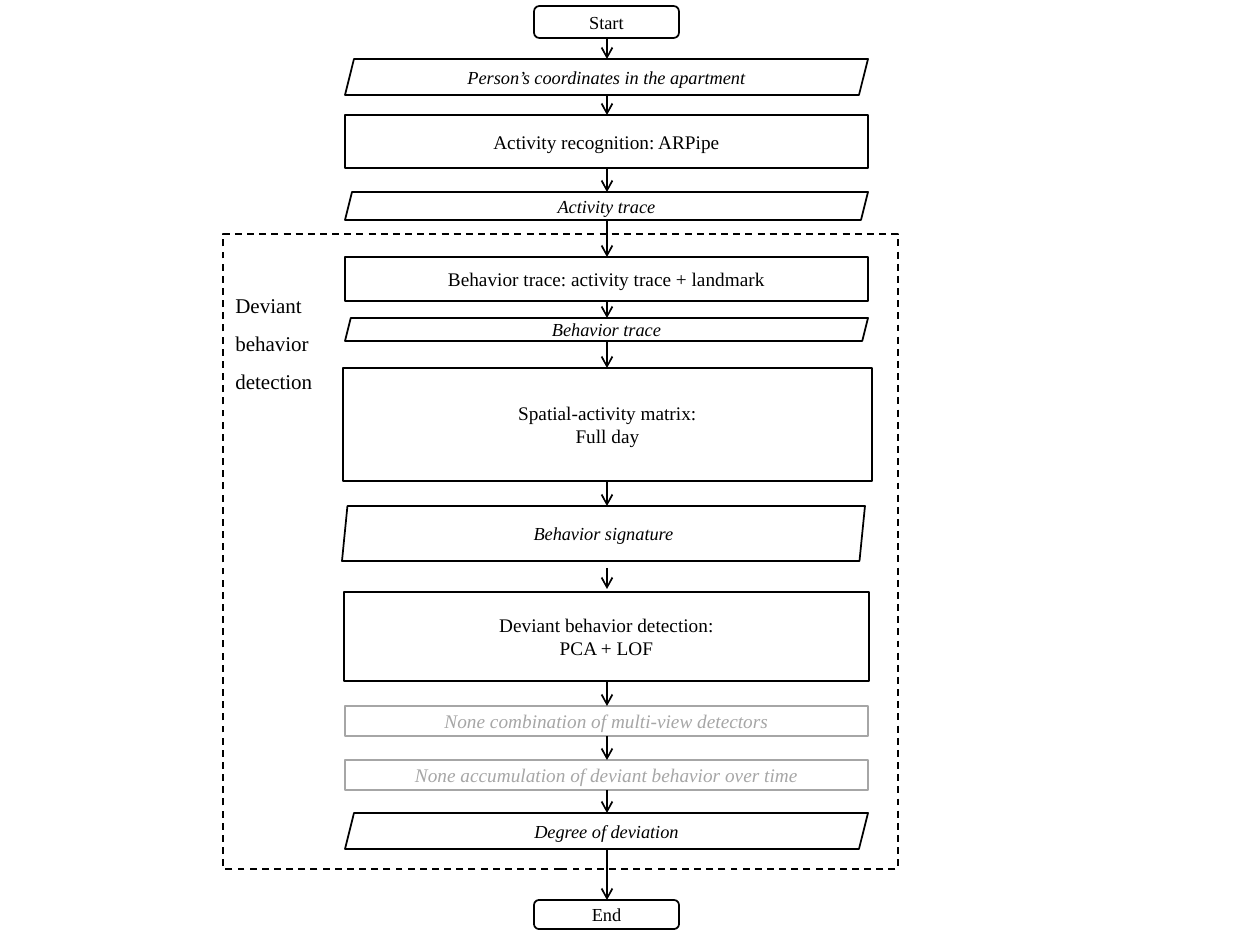
from dataclasses import dataclass
from itertools import pairwise

from lxml.etree import SubElement
from pptx import Presentation
from pptx.dml.color import RGBColor as RGB
from pptx.enum.dml import MSO_LINE_DASH_STYLE as Dash
from pptx.enum.shapes import MSO_CONNECTOR as Link, MSO_SHAPE as Form
from pptx.enum.text import MSO_ANCHOR as Anchor, PP_ALIGN as Align
from pptx.oxml.ns import qn
from pptx.util import Emu, Pt

SCALE = 914400 // 126


@dataclass(frozen=True)
class Theme:
    """Colours, font and type sizes."""
    ink: RGB = RGB(0, 0, 0)
    mute: RGB = RGB(0xA6, 0xA6, 0xA6)
    font: str = "Times New Roman"
    data: float = 10.5
    step: float = 11
    label: float = 12
    line: float = 1


def px(num):
    """Turn pixels into EMU."""
    return Emu(num * SCALE)


class Chart:
    """Draws flowchart parts on one slide."""

    def __init__(self, slide, theme):
        """Keep the slide and the style."""
        self.slide, self.theme = slide, theme

    def stroke(self, line, color):
        """Set the outline colour and width."""
        line.color.rgb = color
        line.width = Pt(self.theme.line)

    def letter(self, frame, text, size, color, slant=False, align=Align.CENTER, space=None):
        """Fill a text frame and format its runs."""
        frame.word_wrap = True
        frame.text = text
        for para in frame.paragraphs:
            para.alignment = align
            para.line_spacing = space
            for run in para.runs:
                font = run.font
                font.name, font.size, font.italic = self.theme.font, Pt(size), slant
                font.color.rgb = color

    def shape(self, form, box, color):
        """Add an unfilled outline shape."""
        shape = self.slide.shapes.add_shape(form, *map(px, box))
        shape.shadow.inherit = False
        shape.fill.background()
        self.stroke(shape.line, color)
        return shape

    def node(self, form, text, box, size, slant=False, color=None, skew=None):
        """Add a shape with centred text."""
        color = color or self.theme.ink
        shape = self.shape(form, box, color)
        if skew is not None:
            shape.adjustments[0] = skew
        frame = shape.text_frame
        frame.vertical_anchor = Anchor.MIDDLE
        frame.margin_top = frame.margin_bottom = 0
        self.letter(frame, text, size, color, slant)

    def group(self, text, box, drop):
        """Add a dashed frame with a label at its top left."""
        shape = self.shape(Form.RECTANGLE, box, self.theme.ink)
        shape.line.dash_style = Dash.DASH
        frame = shape.text_frame
        frame.vertical_anchor = Anchor.TOP
        frame.margin_top = px(drop)
        self.letter(frame, text, self.theme.label, self.theme.ink, align=Align.LEFT, space=1.5)

    def arrow(self, x, top, end):
        """Add a downward arrow."""
        link = self.slide.shapes.add_connector(Link.STRAIGHT, px(x), px(top), px(x), px(end))
        self.stroke(link.line, self.theme.ink)
        props = link.element.spPr
        SubElement(props.find(qn("a:ln")), qn("a:tailEnd"), type="arrow")
        SubElement(props, qn("a:effectLst"))


theme = Theme()
MID, LEFT, WIDE = 607, 345, 523
CAP = dict(form=Form.ROUNDED_RECTANGLE, size=theme.data)
DATA = dict(form=Form.PARALLELOGRAM, size=theme.data, slant=True)
STEP = dict(form=Form.RECTANGLE, size=theme.step)
NONE = dict(STEP, slant=True, color=theme.mute)
SIGN = dict(DATA, skew=0.1)

# style, text, left, top, width, height
NODES = [
    (CAP, "Start", 534, 6, 145, 32),
    (DATA, "Person’s coordinates in the apartment", LEFT, 59, WIDE, 36),
    (STEP, "Activity recognition: ARPipe", LEFT, 115, WIDE, 53),
    (DATA, "Activity trace", LEFT, 192, WIDE, 28),
    (STEP, "Behavior trace: activity trace + landmark", LEFT, 257, WIDE, 44),
    (DATA, "Behavior trace", LEFT, 318, WIDE, 23),
    (STEP, "Spatial-activity matrix:\nFull day", 343, 368, 529, 113),
    (SIGN, "Behavior signature", 342, 506, WIDE, 55),
    (STEP, "Deviant behavior detection:\nPCA + LOF", 344, 592, 525, 89),
    (NONE, "None combination of multi-view detectors", LEFT, 706, WIDE, 30),
    (NONE, "None accumulation of deviant behavior over time", LEFT, 760, WIDE, 30),
    (DATA, "Degree of deviation", LEFT, 813, WIDE, 36),
    (CAP, "End", 534, 900, 145, 29),
]

deck = Presentation()
deck.slide_width, deck.slide_height = px(1260), px(945)
chart = Chart(deck.slides.add_slide(deck.slide_layouts[6]), theme)

chart.group("Deviant\nbehavior\ndetection", (223, 234, 675, 635), 46)
for style, text, *box in NODES:
    chart.node(text=text, box=box, **style)
for (style, _, _, top, _, high), (_, _, _, end, _, _) in pairwise(NODES):
    before, after = (7, 3) if style is SIGN else (0, 0)
    chart.arrow(MID, top + high + before, end - after)

deck.save("out.pptx")
